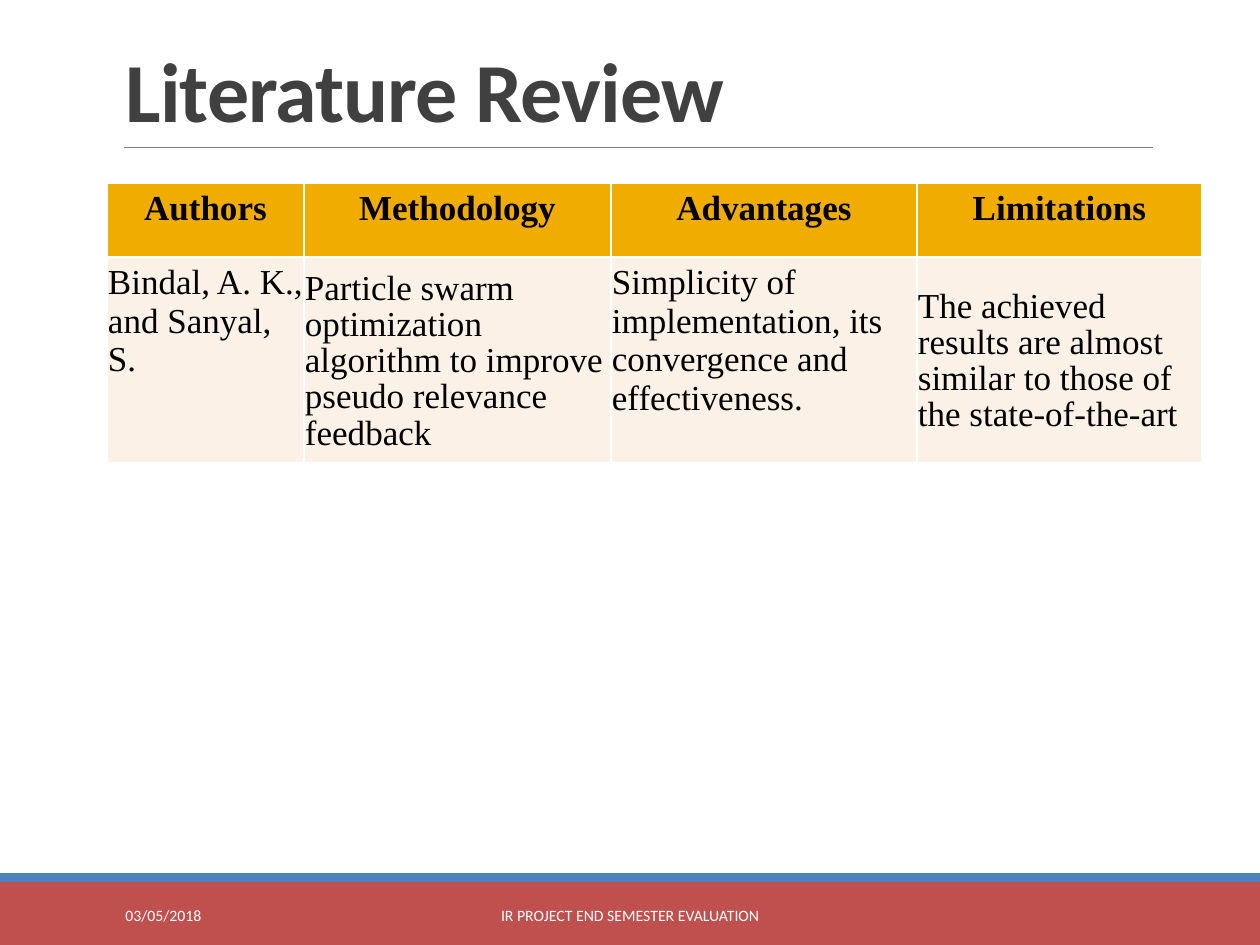
from pptx import Presentation
from pptx.dml.color import RGBColor
from pptx.enum.shapes import MSO_CONNECTOR as Connector, MSO_SHAPE as Shape
from pptx.enum.text import MSO_ANCHOR as Anchor, MSO_AUTO_SIZE as AutoSize, PP_ALIGN as Align
from pptx.oxml.ns import qn
from pptx.util import Emu, Pt
from lxml.etree import SubElement

WHITE = RGBColor(0xFF, 0xFF, 0xFF)
BLACK = RGBColor(0x00, 0x00, 0x00)
CHARCOAL = RGBColor(0x40, 0x40, 0x40)
GRAY = RGBColor(0x80, 0x80, 0x80)
RED = RGBColor(0xC0, 0x50, 0x4D)
BLUE = RGBColor(0x4F, 0x81, 0xBD)
GOLD = RGBColor(0xF0, 0xAD, 0x00)
CREAM = RGBColor(0xFC, 0xF1, 0xE7)

HEADERS = ["Authors", "Methodology", "Advantages", "Limitations"]
REVIEW = [
    "Bindal, A. K., and Sanyal, S.",
    "Particle swarm optimization algorithm to improve pseudo relevance feedback",
    "Simplicity of implementation, its convergence and effectiveness.",
    "The achieved results are almost similar to those of the state-of-the-art",
]


def px(length):
    return Emu(round(length * 914400 / 126))


class SlideBuilder:
    """Holds the style and the current slide, and adds each kind of element."""

    heading_font = "Calibri"
    table_font = "Times New Roman"

    def __init__(self, presentation):
        self.slide = presentation.slides.add_slide(presentation.slide_layouts[5])
        self.shapes = self.slide.shapes

    def set_text(self, text_frame, text, font, size, color, bold=False, align=Align.LEFT):
        text_frame.text = text
        text_frame.word_wrap = True
        paragraph = text_frame.paragraphs[0]
        paragraph.alignment = align
        run = paragraph.runs[0]
        run.font.name, run.font.size, run.font.bold = font, Pt(size), bold
        run.font.color.rgb = color
        return run

    def title(self, text, left, top, width, height):
        title = self.shapes.title
        title.left, title.top, title.width, title.height = map(px, (left, top, width, height))
        run = self.set_text(title.text_frame, text, self.heading_font, 48, CHARCOAL, True)
        run._r.get_or_add_rPr().set("spc", "-50")
        title.text_frame.auto_size = AutoSize.NONE
        title.text_frame.vertical_anchor = Anchor.BOTTOM

    def band(self, color, top, height):
        band = self.shapes.add_shape(Shape.RECTANGLE, 0, px(top), px(1260), px(height))
        band.shadow.inherit = False
        band.fill.solid()
        band.fill.fore_color.rgb = color
        band.line.fill.background()

    def rule(self, left, right, top):
        rule = self.shapes.add_connector(Connector.STRAIGHT, px(left), px(top), px(right), px(top))
        rule.line.color.rgb = GRAY
        rule.line.width = Pt(0.5)
        SubElement(rule._element.spPr, qn("a:effectLst"))

    def footer(self, text, left, width, align=Align.LEFT):
        box = self.shapes.add_textbox(px(left), px(890), px(width), px(50))
        self.set_text(box.text_frame, text, self.heading_font, 9, WHITE, align=align)
        box.text_frame.vertical_anchor = Anchor.MIDDLE

    def cell(self, cell, text, fill, bold=False, align=Align.LEFT, compact=False):
        cell.margin_left = cell.margin_right = px(1)
        cell.margin_top, cell.margin_bottom = (px(4), px(0)) if compact else (px(6), px(6))
        cell.vertical_anchor = Anchor.MIDDLE if compact else Anchor.TOP
        self.set_text(cell.text_frame, text, self.table_font, 20, BLACK, bold, align)
        if compact:
            cell.text_frame.paragraphs[0].line_spacing = 0.93
        properties = cell._tc.get_or_add_tcPr()
        for side in ("a:lnL", "a:lnR", "a:lnT", "a:lnB"):
            border = SubElement(properties, qn(side), w=str(int(Pt(0.96))))
            solid = SubElement(border, qn("a:solidFill"))
            SubElement(solid, qn("a:srgbClr"), val=str(WHITE))
        cell.fill.solid()
        cell.fill.fore_color.rgb = fill

    def table(self, left, top, widths, heights):
        frame = self.shapes.add_table(
            len(heights), len(widths), px(left), px(top), px(sum(widths)), px(sum(heights)))
        table = frame.table
        table.horz_banding = False
        for column, width in zip(table.columns, widths):
            column.width = px(width)
        for row, height in zip(table.rows, heights):
            row.height = px(height)
        for index, (header, review) in enumerate(zip(HEADERS, REVIEW)):
            self.cell(table.cell(0, index), header, GOLD, bold=True, align=Align.CENTER)
            self.cell(table.cell(1, index), review, CREAM, compact=index % 2 == 1)


def main():
    presentation = Presentation()
    presentation.slide_width, presentation.slide_height = px(1260), px(945)
    builder = SlideBuilder(presentation)
    builder.band(RED, 882, 63)
    builder.band(BLUE, 873, 9)
    builder.rule(124, 1153, 147)
    builder.title("Literature Review", 113, 39, 1040, 107)
    builder.table(107, 183, [197, 307, 306, 285], [74, 206])
    builder.footer("03/05/2018", 113, 256)
    builder.footer("IR PROJECT END SEMESTER EVALUATION", 380, 500, Align.CENTER)
    presentation.save("out.pptx")


if __name__ == "__main__":
    main()
